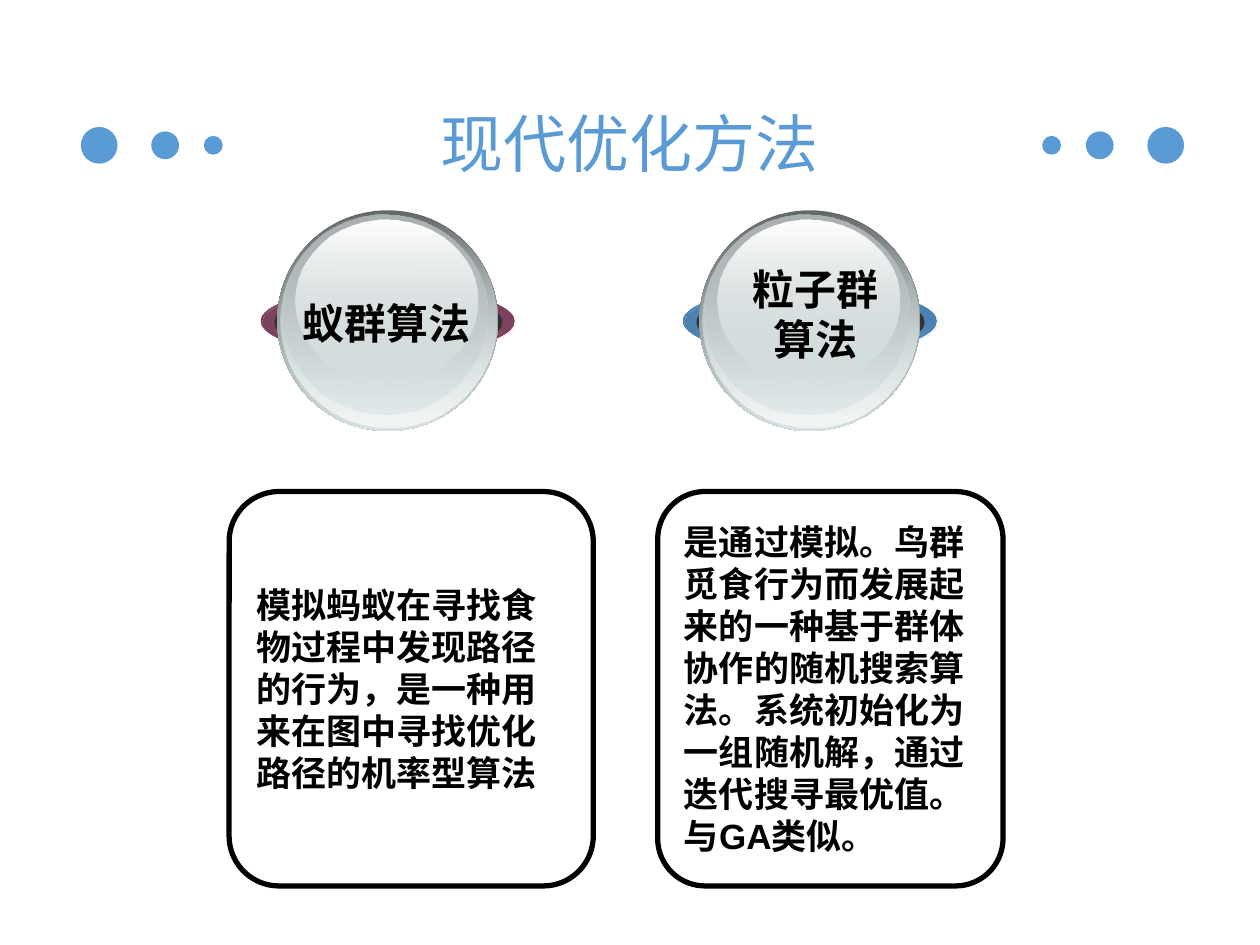
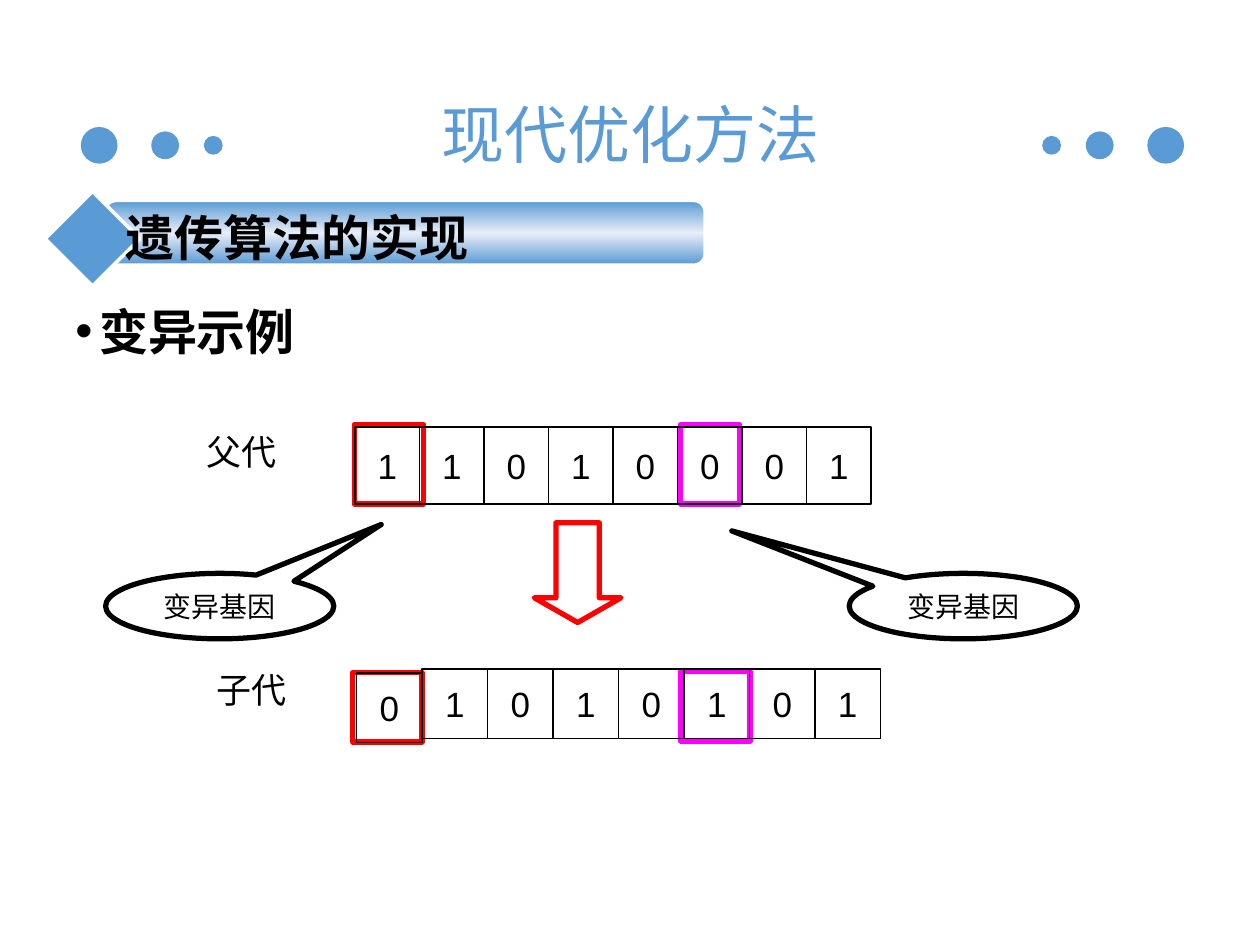
from dataclasses import dataclass
from typing import NamedTuple

from lxml import etree
from pptx import Presentation
from pptx.dml.color import RGBColor
from pptx.enum import shapes, text
from pptx.oxml import ns
from pptx.util import Cm, Pt

# Shared look
BLUE = RGBColor(0x5B, 0x9B, 0xD5)
PLUM = RGBColor(0x95, 0x4F, 0x72)
BLACK = RGBColor(0, 0, 0)
WHITE = RGBColor(255, 255, 255)
RED = RGBColor(255, 0, 0)
MAGENTA = RGBColor(255, 0, 255)
CHARCOAL = RGBColor(0x33, 0x33, 0x33)
STEEL = RGBColor(0x63, 0x68, 0x69)
SILVER = RGBColor(0xAA, 0xB2, 0xB3)
MIST = RGBColor(0xD6, 0xE1, 0xE2)
FROST = RGBColor(0xF1, 0xF5, 0xF5)
GLEAM = RGBColor(0xE8, 0xEE, 0xF7)
LATIN, CJK = "Arial", "Noto Sans CJK SC"
HEADING = "现代优化方法"
Kind = shapes.MSO_SHAPE
CENTER, LEFT = text.PP_ALIGN.CENTER, text.PP_ALIGN.LEFT
MIDDLE, TOP = text.MSO_ANCHOR.MIDDLE, text.MSO_ANCHOR.TOP


class Box(NamedTuple):
    """Place and size in centimetres."""
    left: float
    top: float
    width: float
    height: float

    def lengths(self):
        return [Cm(value) for value in self]


class Stop(NamedTuple):
    position: int
    color: RGBColor
    alpha: int = 100


@dataclass
class Gradient:
    angle: int
    stops: list[Stop]


@dataclass
class Method:
    """An algorithm: its orb, the orb's ring shades, and its description."""
    ring_left: float
    base: RGBColor
    edge: RGBColor
    sheen: RGBColor
    shade: Stop
    name: str
    name_box: Box
    description: str
    card: Box


@dataclass
class Chromosome:
    caption: str
    caption_box: Box
    genes: str
    first: Box
    first_drop: float
    marks: list[tuple[RGBColor, Box]]


METHODS = [
    Method(5.26, PLUM, RGBColor(0x72, 0x3C, 0x57), RGBColor(0x7A, 0x41, 0x5E),
           Stop(100, BLACK, 90), "蚁群算法", Box(5.66, 5.87, 4.27, 1.27),
           "模拟蚂蚁在寻找食物过程中发现路径的行为，是一种用来在图中寻找优化路径的机率型算法",
           Box(4.62, 9.91, 7.34, 7.95)),
    Method(13.77, BLUE, RGBColor(0x46, 0x77, 0xA3), RGBColor(0x4B, 0x7F, 0xAF),
           Stop(100, RGBColor(0x41, 0x6F, 0x98)), "粒子群算法",
           Box(14.55, 5.18, 3.78, 2.29),
           "是通过模拟。鸟群觅食行为而发展起来的一种基于群体协作的随机搜索算法。"
           "系统初始化为一组随机解，通过迭代搜寻最优值。与GA类似。",
           Box(13.26, 9.91, 6.96, 7.95)),
]

CHROMOSOMES = [
    Chromosome("父代", Box(3.91, 8.56, 1.93, 1.09), "11010001",
               Box(7.16, 8.61, 1.3, 1.55), 0,
               [(MAGENTA, Box(13.72, 8.56, 1.19, 1.6)),
                (RED, Box(7.14, 8.56, 1.4, 1.6))]),
    Chromosome("子代", Box(4.11, 13.36, 1.93, 1.09), "01010101",
               Box(7.19, 13.49, 1.32, 1.4), 0.08,
               [(MAGENTA, Box(13.72, 13.54, 1.4, 1.4)),
                (RED, Box(7.11, 13.56, 1.4, 1.4))]),
]


# Drawing helpers
def paint_gradient(shape, gradient: Gradient) -> None:
    shape.fill.background()
    grad = etree.Element(ns.qn("a:gradFill"), rotWithShape="1")
    stop_list = etree.SubElement(grad, ns.qn("a:gsLst"))
    for stop in gradient.stops:
        mark = etree.SubElement(stop_list, ns.qn("a:gs"), pos=str(stop.position * 1000))
        color = etree.SubElement(mark, ns.qn("a:srgbClr"), val=str(stop.color))
        if stop.alpha < 100:
            etree.SubElement(color, ns.qn("a:alpha"), val=str(stop.alpha * 1000))
    etree.SubElement(grad, ns.qn("a:lin"), ang=str(gradient.angle * 60000), scaled="0")
    properties = shape._element.spPr
    properties.replace(properties.find(ns.qn("a:noFill")), grad)


def draw(slide, kind, box: Box, fill: RGBColor | Gradient | None = None,
         line: RGBColor | None = None, weight: float = 1, adjust: tuple = ()):
    shape = slide.shapes.add_shape(kind, *box.lengths())
    shape.shadow.inherit = False
    if isinstance(fill, Gradient):
        paint_gradient(shape, fill)
    elif fill is None:
        shape.fill.background()
    else:
        shape.fill.solid()
        shape.fill.fore_color.rgb = fill
    if line is None:
        shape.line.fill.background()
    else:
        shape.line.color.rgb = line
        shape.line.width = Pt(weight)
    for index, value in enumerate(adjust):
        shape.adjustments[index] = value
    return shape


def write(shape, words: str, *, size: float, color: RGBColor = BLACK, bold: bool = False,
          align=CENTER, anchor=MIDDLE, wrap: bool = True, font: str = LATIN,
          spacing: float = 1.0, bullet_indent: float = 0) -> None:
    frame = shape.text_frame
    frame.word_wrap = wrap
    frame.auto_size = text.MSO_AUTO_SIZE.NONE
    frame.vertical_anchor = anchor
    paragraph = frame.paragraphs[0]
    paragraph.alignment = align
    paragraph.line_spacing = spacing
    if bullet_indent:
        properties = paragraph._p.get_or_add_pPr()
        properties.set("marL", str(Cm(bullet_indent)))
        properties.set("indent", str(-Cm(bullet_indent)))
        etree.SubElement(properties, ns.qn("a:buFont"), typeface=LATIN)
        etree.SubElement(properties, ns.qn("a:buChar"), char="•")
    run = paragraph.add_run()
    run.text = words
    run.font.name = font
    run.font.size = Pt(size)
    run.font.bold = bold
    run.font.color.rgb = color
    latin = run._r.rPr.find(ns.qn("a:latin"))
    latin.addnext(etree.Element(ns.qn("a:ea"), typeface=CJK))


def label(slide, box: Box, words: str, **style) -> None:
    write(slide.shapes.add_textbox(*box.lengths()), words, anchor=TOP, **style)


def start_slide(deck):
    """Add a slide with the mirrored dots beside the heading."""
    slide = deck.slides.add_slide(deck.slide_layouts[5])
    middle, mirror_width = 2.93, 25.5
    for left, size in ((1.63, 0.74), (3.05, 0.56), (4.11, 0.38)):
        for x in (left, mirror_width - left - size):
            draw(slide, Kind.OVAL, Box(x, middle - size / 2, size, size), BLUE)
    return slide


def place_title(slide, box: Box, spacing: float = 1.0) -> None:
    title = slide.shapes.title
    title.left, title.top, title.width, title.height = box.lengths()
    write(title, HEADING, size=36, color=BLUE, spacing=spacing)


# Slide 1: two swarm methods
def draw_orb(slide, method: Method) -> None:
    base, edge = method.base, method.edge
    layers = [
        # Ring behind the globe
        (Box(0.41, 5.82, 0.51, 1.35),
         Gradient(45, [Stop(0, WHITE), Stop(50, base), Stop(100, WHITE)])),
        (Box(0.41, 5.82, 0.51, 1.35), Gradient(45, [Stop(0, base, 32), method.shade])),
        (Box(0, 5.8, 5.11, 1.35),
         Gradient(315, [Stop(0, edge), Stop(50, base), Stop(100, edge)])),
        (Box(0.03, 5.82, 5.11, 1.35),
         Gradient(45, [Stop(0, method.sheen), Stop(100, base, 0)])),
        (Box(0.27, 5.82, 4.6, 1.35), CHARCOAL),
        # Glass globe
        (Box(0.33, 4.24, 4.45, 4.45), Gradient(90, [Stop(0, STEEL), Stop(100, MIST)])),
        (Box(0.4, 4.27, 4.34, 4.34), Gradient(90, [Stop(0, MIST, 0), Stop(100, FROST)])),
        (Box(0.43, 4.32, 4.14, 4.04), Gradient(90, [Stop(0, SILVER), Stop(100, MIST, 48)])),
        (Box(0.69, 4.42, 3.68, 3.28), Gradient(90, [Stop(0, WHITE), Stop(100, MIST, 38)])),
    ]
    for box, fill in layers:
        draw(slide, Kind.OVAL, box._replace(left=method.ring_left + box.left), fill)
    label(slide, method.name_box, method.name, size=24, bold=True)


def build_methods(deck) -> None:
    slide = start_slide(deck)
    for method in METHODS:
        card = draw(slide, Kind.ROUNDED_RECTANGLE, method.card, line=BLACK, weight=3,
                    adjust=(0.137,))
        write(card, method.description, size=20, bold=True, align=LEFT)
        draw_orb(slide, method)
    place_title(slide, Box(4.62, 1.02, 16.15, 3.68))


# Slide 2: mutation in the genetic algorithm
def draw_chromosome(slide, chromosome: Chromosome) -> None:
    for color, box in chromosome.marks:
        draw(slide, Kind.RECTANGLE, box, WHITE, color, 3)
    first = chromosome.first
    for index, gene in enumerate(chromosome.genes):
        drop = 0 if index else chromosome.first_drop
        box = first._replace(left=first.left + index * first.width, top=first.top + drop)
        write(draw(slide, Kind.RECTANGLE, box, line=BLACK), gene, size=20, wrap=False)
    label(slide, chromosome.caption_box, chromosome.caption, size=20, align=LEFT,
          wrap=False)


def build_mutation(deck) -> None:
    slide = start_slide(deck)
    label(slide, Box(1.27, 5.72, 22.86, 1.8), "变异示例", size=28, bold=True, align=LEFT,
          spacing=1.2, bullet_indent=0.48)
    for chromosome in CHROMOSOMES:
        draw_chromosome(slide, chromosome)
    draw(slide, Kind.DOWN_ARROW, Box(10.77, 10.54, 1.75, 2.01), line=RED, weight=3,
         adjust=(0.5, 0.285))

    # Callouts pointing at the mutated genes
    for left, tip in ((17.12, (-1.015, -1.15)), (2.13, (0.708, -1.247))):
        callout = draw(slide, Kind.OVAL_CALLOUT, Box(left, 11.56, 4.6, 1.32), line=BLACK,
                       weight=3, adjust=tip)
        write(callout, "变异基因", size=16)

    # Section banner
    shine = Gradient(90, [Stop(0, BLUE), Stop(50, GLEAM), Stop(100, BLUE)])
    draw(slide, Kind.ROUNDED_RECTANGLE, Box(2.13, 4.06, 12.07, 1.27), shine, WHITE, 1,
         (0.167,))
    draw(slide, Kind.DIAMOND, Box(0.91, 3.86, 1.91, 1.91), BLUE, WHITE, 2)
    label(slide, Box(2.13, 4.06, 7.72, 1.45), "遗传算法的实现", size=28, bold=True, font=CJK)
    place_title(slide, Box(1.27, 1.45, 22.86, 2.16), spacing=1.2)


def main() -> None:
    deck = Presentation()
    deck.slide_width, deck.slide_height = Cm(25.4), Cm(19.05)
    build_methods(deck)
    build_mutation(deck)
    deck.save("out.pptx")


if __name__ == "__main__":
    main()
